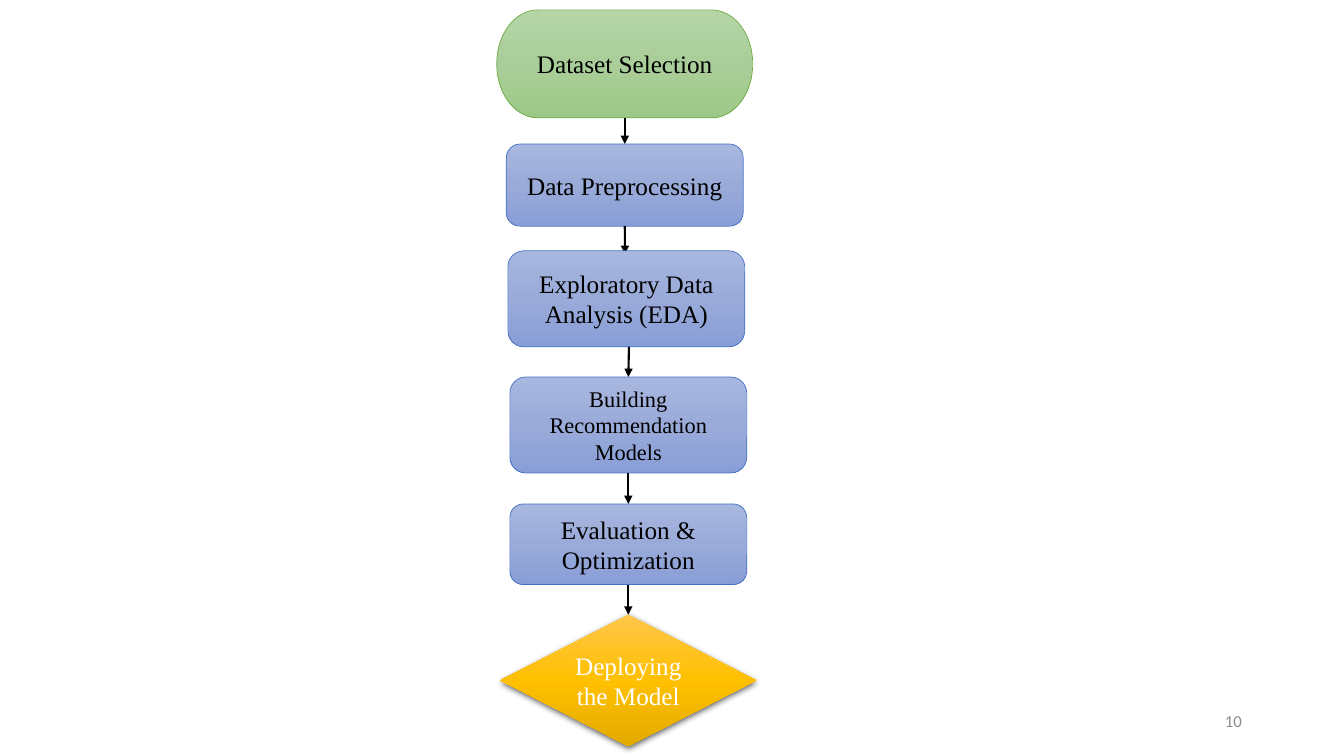
from copy import deepcopy

from lxml.etree import SubElement
from pptx import Presentation
from pptx.dml.color import RGBColor
from pptx.enum.shapes import MSO_CONNECTOR, MSO_SHAPE
from pptx.enum.text import MSO_ANCHOR, PP_ALIGN
from pptx.oxml.ns import qn
from pptx.util import Cm, Pt

THEME = {
    "flow_font": "Times New Roman",
    "number_font": "Calibri",
    "dark": "000000",
    "light": "FFFFFF",
    "muted": "8C8C8C",
    "green": ("B5D5A7", "AACE9A", "9CC987"),
    "blue": ("A8B7DF", "9AABD9", "889ED7"),
    "gold": ("FFC64B", "FFC000", "E3AB00"),
    "green_line": "70AD47",
    "blue_line": "4472C4",
    "regular": 18,
    "small": 16,
    "number": 12,
}
TOP, BOTTOM = 0, 2


def write(shape, text, font, size, color, alignment):
    frame = shape.text_frame
    frame.word_wrap = True
    frame.vertical_anchor = MSO_ANCHOR.MIDDLE
    paragraph = frame.paragraphs[0]
    paragraph.alignment = alignment
    run = paragraph.add_run()
    run.text = text
    run.font.name = font
    run.font.size = Pt(size)
    run.font.color.rgb = RGBColor.from_string(color)


def fill_gradient(shape, colors):
    shape.fill.gradient()
    shape.fill.gradient_angle = 270
    stop_list = next(shape.element.iter(qn("a:gsLst")))
    stop_list.append(deepcopy(stop_list[0]))
    for stop, position, color in zip(shape.fill.gradient_stops, (0, 0.5, 1), colors):
        stop.position = position
        stop.color.rgb = RGBColor.from_string(color)


presentation = Presentation()
presentation.slide_width = Cm(33.87)
presentation.slide_height = Cm(19.05)
slide = presentation.slides.add_slide(presentation.slide_layouts[6])

page_number = slide.shapes.add_textbox(Cm(23.93), Cm(17.65), Cm(7.62), Cm(1.02))
write(page_number, "10", THEME["number_font"], THEME["number"], THEME["muted"], PP_ALIGN.RIGHT)

terminator = (MSO_SHAPE.FLOWCHART_TERMINATOR, 6.45, "green", "green_line", "dark")
process = (MSO_SHAPE.FLOWCHART_ALTERNATE_PROCESS, 5.97, "blue", "blue_line", "dark")
decision = (MSO_SHAPE.FLOWCHART_DECISION, 6.45, "gold", None, "light")

steps = [
    ("Dataset Selection", terminator, 12.52, 0.25, 2.72, "regular"),
    ("Data Preprocessing", process, 12.76, 3.63, 2.07, "regular"),
    ("Exploratory Data Analysis (EDA)", process, 12.8, 6.32, 2.42, "regular"),
    ("Building Recommendation Models", process, 12.85, 9.5, 2.42, "small"),
    ("Evaluation & Optimization", process, 12.85, 12.7, 2.03, "regular"),
    ("Deploying the Model", decision, 12.61, 15.49, 3.31, "regular"),
]
arrows = [
    (15.75, 2.97, 3.63, True, True),
    (15.75, 5.7, 6.4, True, False),
    (15.85, 8.74, 9.5, False, True),
    (15.84, 11.92, 12.7, True, True),
    (15.84, 14.73, 15.49, True, True),
]

connector, join_end = None, False
for index, (text, kind, left, top, height, size) in enumerate(steps):
    preset, width, fill, outline, text_color = kind
    shape = slide.shapes.add_shape(preset, Cm(left), Cm(top), Cm(width), Cm(height))
    shape.shadow.inherit = False
    fill_gradient(shape, THEME[fill])
    if outline:
        shape.line.color.rgb = RGBColor.from_string(THEME[outline])
        shape.line.width = Pt(0.5)
    else:
        shape.line.fill.background()
    write(shape, text, THEME["flow_font"], THEME[size], THEME[text_color], PP_ALIGN.CENTER)

    if join_end:
        connector.end_connect(shape, TOP)
    if index < len(arrows):
        center, start, end, join_begin, join_end = arrows[index]
        connector = slide.shapes.add_connector(
            MSO_CONNECTOR.STRAIGHT, Cm(center), Cm(start), Cm(center), Cm(end)
        )
        connector.line.color.rgb = RGBColor.from_string(THEME["dark"])
        connector.line.width = Pt(1.5)
        properties = connector.element.spPr
        SubElement(properties.find(qn("a:ln")), qn("a:tailEnd"), type="triangle")
        SubElement(properties, qn("a:effectLst"))
        if join_begin:
            connector.begin_connect(shape, BOTTOM)

effects = shape.element.spPr.find(qn("a:effectLst"))
shadow = SubElement(
    effects, qn("a:outerShdw"),
    blurRad=str(int(Pt(4.5))), dist=str(int(Pt(1.5))), dir="5400000", algn="ctr", rotWithShape="0",
)
shadow_color = SubElement(shadow, qn("a:srgbClr"), val=THEME["dark"])
SubElement(shadow_color, qn("a:alpha"), val="63000")

presentation.save("out.pptx")
